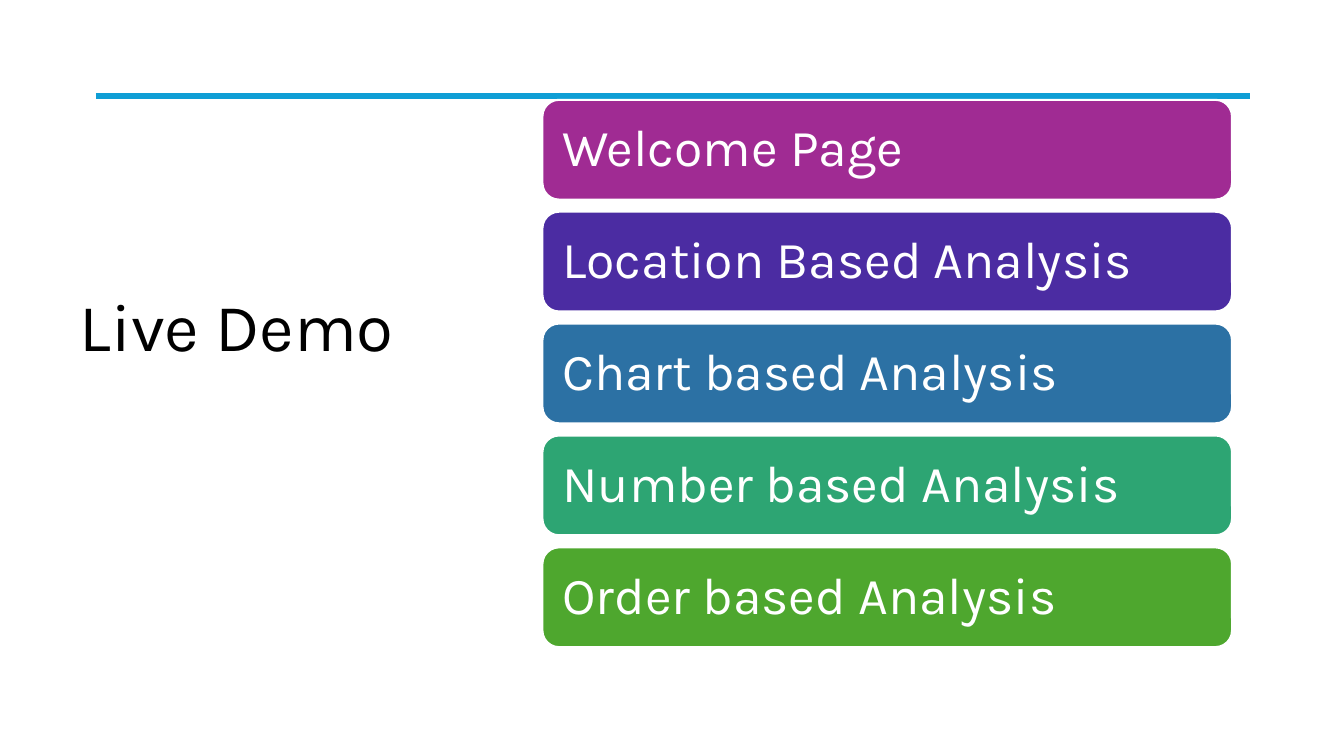
from lxml import etree
from pptx import Presentation
from pptx.dml.color import RGBColor
from pptx.enum.shapes import MSO_CONNECTOR, MSO_SHAPE
from pptx.enum.text import MSO_ANCHOR, MSO_AUTO_SIZE, PP_ALIGN
from pptx.oxml.ns import qn
from pptx.util import Inches, Pt

STRAIGHT = MSO_CONNECTOR.STRAIGHT
ROUNDED = MSO_SHAPE.ROUNDED_RECTANGLE
MIDDLE = MSO_ANCHOR.MIDDLE
NO_FIT = MSO_AUTO_SIZE.NONE
LEFT = PP_ALIGN.LEFT

COLORS = {
    "rule": "0F9ED5",
    "black": "000000",
    "white": "FFFFFF",
    "purple": "A02B93",
    "indigo": "4B2CA2",
    "blue": "2C71A4",
    "teal": "2DA573",
    "green": "4EA72E",
}
DEMO_STEPS = [
    ("Welcome Page", "purple"),
    ("Location Based Analysis", "indigo"),
    ("Chart based Analysis", "blue"),
    ("Number based Analysis", "teal"),
    ("Order based Analysis", "green"),
]
BAR_LEFT, BAR_TOP, BAR_WIDTH, BAR_HEIGHT = 5.38, 0.99, 6.84, 0.99
BAR_PITCH = 1.11


def color(name):
    return RGBColor.from_string(COLORS[name])


def write_text(shape, text, size, color_name, side_inset=0.1, bottom_inset=0.05):
    frame = shape.text_frame
    frame.text = text
    frame.word_wrap = True
    frame.auto_size = NO_FIT
    frame.vertical_anchor = MIDDLE
    frame.margin_left = frame.margin_right = Inches(side_inset)
    frame.margin_top, frame.margin_bottom = Inches(0.05), Inches(bottom_inset)
    paragraph = frame.paragraphs[0]
    paragraph.alignment = LEFT
    paragraph.line_spacing = 0.9
    paragraph.font.name = "Karla"
    paragraph.font.size = Pt(size)
    paragraph.font.color.rgb = color(color_name)


presentation = Presentation()
presentation.slide_width, presentation.slide_height = Inches(13.33), Inches(7.5)
slide = presentation.slides.add_slide(presentation.slide_layouts[5])

rule = slide.shapes.add_connector(
    STRAIGHT, Inches(0.95), Inches(0.95), Inches(12.4), Inches(0.95))
rule.line.color.rgb = color("rule")
rule.line.width = Pt(4.5)
etree.SubElement(rule._element.spPr, qn("a:effectLst"))

title = slide.shapes.title
title.left, title.top = Inches(0.69), Inches(0.54)
title.width, title.height = Inches(4.59), Inches(6.17)
write_text(title, "Live Demo", 48, "black", bottom_inset=0.75)

for row, (step, fill_name) in enumerate(DEMO_STEPS):
    bar = slide.shapes.add_shape(
        ROUNDED, Inches(BAR_LEFT), Inches(BAR_TOP + row * BAR_PITCH),
        Inches(BAR_WIDTH), Inches(BAR_HEIGHT))
    bar.shadow.inherit = False
    bar.fill.solid()
    bar.fill.fore_color.rgb = color(fill_name)
    bar.line.color.rgb = color("white")
    bar.line.width = Pt(1.5)
    write_text(bar, step, 37, "white", side_inset=0.15)

presentation.save("out.pptx")
